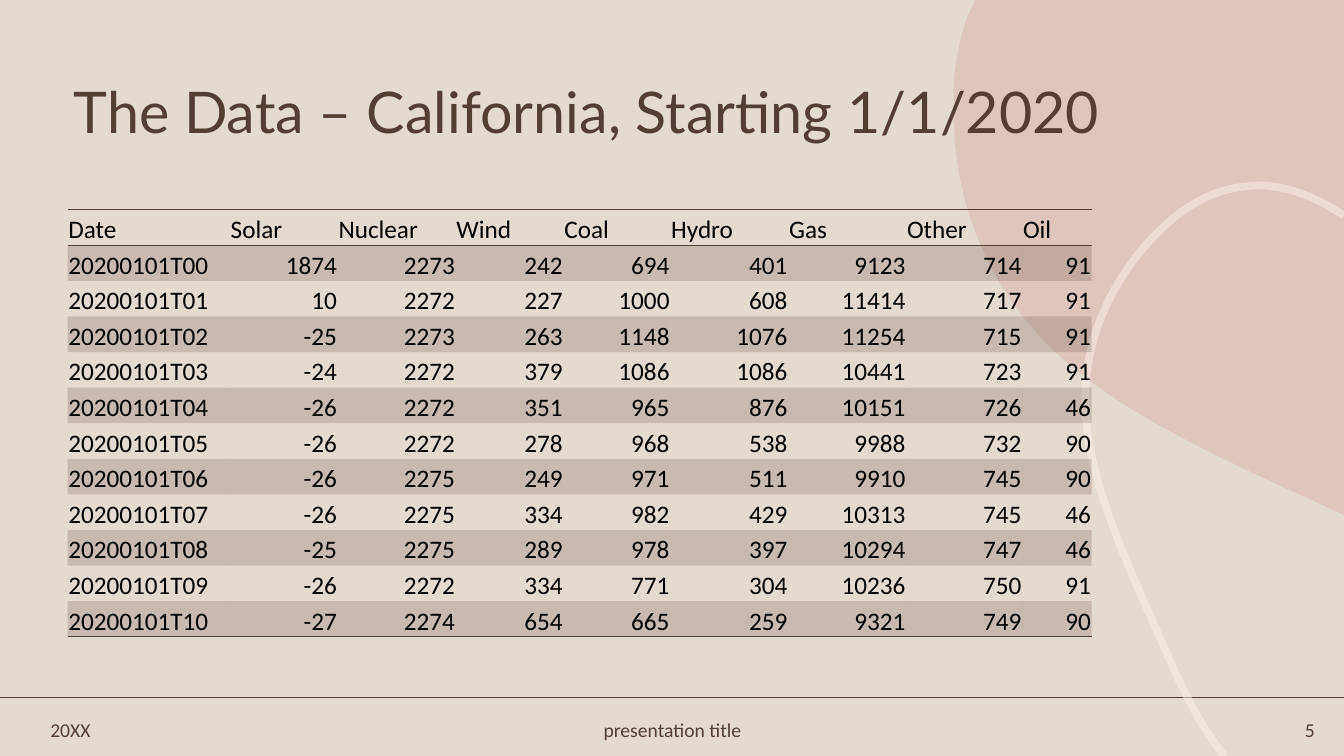
from lxml.etree import SubElement
from pptx import Presentation
from pptx.dml.color import RGBColor
from pptx.enum.shapes import MSO_CONNECTOR as Connector
from pptx.enum.text import MSO_ANCHOR as Anchor, PP_ALIGN as Align
from pptx.oxml import parse_xml
from pptx.oxml.ns import nsdecls, qn
from pptx.util import Inches, Pt

SAND = RGBColor(0xE5, 0xDA, 0xCF)
BROWN = RGBColor(0x54, 0x3E, 0x34)
ROSE = RGBColor(0xCF, 0x9B, 0x92)
CREAM = RGBColor(0xFE, 0xF3, 0xED)
BLACK = RGBColor(0, 0, 0)

# Outlines: a pair is a straight line, six numbers are a Bézier curve
BLOB = [
    (9.67, 0), (13.33, 0), (13.33, 5.11), (13.07, 4.99),
    (11.36, 4.21, 10.32, 3.69, 9.78, 2.55),
    (9.48, 1.93, 9.45, 1.35, 9.46, 1.01),
    (9.45, 0.79, 9.48, 0.49, 9.59, 0.18),
]
LOOP = [
    (12.15, 7.5),
    (11.98, 7.31, 11.79, 6.99, 11.56, 6.45),
    (10.94, 5.07, 10.58, 4.24, 10.86, 3.32),
    (11.01, 2.85, 11.27, 2.53, 11.44, 2.35),
    (11.61, 2.17, 11.92, 1.89, 12.36, 1.85),
    (12.41, 1.84, 12.47, 1.84, 12.52, 1.84),
    (12.79, 1.85, 13.08, 1.97, 13.33, 2.14),
]

HEADERS = ["Date", "Solar", "Nuclear", "Wind", "Coal", "Hydro", "Gas", "Other", "Oil"]
HOURLY_OUTPUT = [
    (1874, 2273, 242, 694, 401, 9123, 714, 91),
    (10, 2272, 227, 1000, 608, 11414, 717, 91),
    (-25, 2273, 263, 1148, 1076, 11254, 715, 91),
    (-24, 2272, 379, 1086, 1086, 10441, 723, 91),
    (-26, 2272, 351, 965, 876, 10151, 726, 46),
    (-26, 2272, 278, 968, 538, 9988, 732, 90),
    (-26, 2275, 249, 971, 511, 9910, 745, 90),
    (-26, 2275, 334, 982, 429, 10313, 745, 46),
    (-25, 2275, 289, 978, 397, 10294, 747, 46),
    (-26, 2272, 334, 771, 304, 10236, 750, 91),
    (-27, 2274, 654, 665, 259, 9321, 749, 90),
]
COLUMN_WIDTHS = [1.61, 1.07, 1.17, 1.07, 1.06, 1.17, 1.17, 1.15, 0.69]
PLAIN_TABLE_STYLE = "{2D5ABB26-0587-4C30-8999-92F81FD0307C}"


def write(frame, text, size=14, font="Calibri", color=BROWN, align=Align.LEFT,
          anchor=Anchor.MIDDLE, line_spacing=None, space_after=None):
    """Put formatted text into a text frame."""
    frame.word_wrap = True
    frame.vertical_anchor = anchor
    paragraph = frame.paragraphs[0]
    paragraph.alignment = align
    paragraph.line_spacing = line_spacing
    paragraph.space_after = space_after
    run = paragraph.add_run()
    run.text = text
    run.font.size = Pt(size)
    run.font.name = font
    run.font.color.rgb = color


def set_opacity(element, percent):
    for color in element.iter(qn("a:srgbClr")):
        SubElement(color, qn("a:alpha")).set("val", str(percent * 1000))


def bend(shape, outline):
    """Join each three line steps that stand for a curve into one Bézier."""
    steps = iter(list(shape.element.iter(qn("a:lnTo"))))
    for segment in outline[1:]:
        curve = next(steps)
        if len(segment) == 6:
            curve.tag = qn("a:cubicBezTo")
            for step in (next(steps), next(steps)):
                curve.append(step[0])
                step.getparent().remove(step)


class DataSlide:
    def __init__(self, presentation):
        self.slide = presentation.slides.add_slide(presentation.slide_layouts[5])
        self.shapes = self.slide.shapes
        self.slide.background.fill.solid()
        self.slide.background.fill.fore_color.rgb = SAND

    def rule(self, y, width):
        line = self.shapes.add_connector(
            Connector.STRAIGHT, Inches(0), Inches(y), Inches(13.33), Inches(y))
        line.line.color.rgb = BROWN
        line.line.width = Pt(width)
        SubElement(line.element.spPr, qn("a:effectLst"))

    def outline(self, outline, opacity, fill=None, line=None, width=0):
        points = [(Inches(segment[i]), Inches(segment[i + 1]))
                  for segment in outline for i in range(0, len(segment), 2)]
        builder = self.shapes.build_freeform(*points[0])
        builder.add_line_segments(points[1:], close=fill is not None)
        shape = builder.convert_to_shape()
        bend(shape, outline)
        shape.shadow.inherit = False
        if fill is None:
            shape.fill.background()
            shape.line.color.rgb = line
            shape.line.width = Pt(width)
        else:
            shape.fill.solid()
            shape.fill.fore_color.rgb = fill
            shape.line.fill.background()
        set_opacity(shape.element.spPr, opacity)

    def title(self, text):
        title = self.shapes.title
        title.left, title.top = Inches(0.63), Inches(0.77)
        title.width, title.height = Inches(11.5), Inches(0.74)
        write(title.text_frame, text, size=41, font="Lato", line_spacing=0.9)
        # Bring the title in front of the decoration
        title.element.getparent().append(title.element)

    def footer(self, text, left, width, align):
        box = self.shapes.add_textbox(Inches(left), Inches(7.07), Inches(width), Inches(0.34))
        write(box.text_frame, text, align=align, space_after=Pt(6))

    def table(self, rows, left, top, height):
        frame = self.shapes.add_table(
            len(rows), len(COLUMN_WIDTHS), Inches(left), Inches(top),
            Inches(sum(COLUMN_WIDTHS)), Inches(height))
        table = frame.table
        table.first_row = table.horz_banding = False
        next(frame.element.iter(qn("a:tableStyleId"))).text = PLAIN_TABLE_STYLE
        for column, width in zip(table.columns, COLUMN_WIDTHS):
            column.width = Inches(width)
        for row in table.rows:
            row.height = Inches(height / len(rows))
        cell_elements = frame.element.iter(qn("a:tc"))
        for index, (cell, element) in enumerate(zip(table.iter_cells(), cell_elements)):
            row, column = divmod(index, len(COLUMN_WIDTHS))
            self.cell(cell, element, rows[row][column], numeric=row > 0 and column > 0,
                      banded=row % 2 == 1, top=row == 0, bottom=row in (0, len(rows) - 1))

    def cell(self, cell, element, value, numeric, banded, top, bottom):
        cell.margin_left = cell.margin_right = cell.margin_top = Pt(0.6)
        cell.margin_bottom = 0
        cell.vertical_anchor = Anchor.BOTTOM
        write(cell.text_frame, str(value), size=18, color=BLACK, anchor=None,
              align=Align.RIGHT if numeric else Align.LEFT)
        properties = element.find(qn("a:tcPr"))
        if banded:
            cell.fill.solid()
            cell.fill.fore_color.rgb = BROWN
            set_opacity(properties, 20)
        else:
            cell.fill.background()
        # Borders come before the fill, top first
        for tag, shown in (("lnB", bottom), ("lnT", top)):
            if shown:
                properties.insert(0, parse_xml(
                    f'<a:{tag} {nsdecls("a")} w="{Pt(1)}"><a:solidFill>'
                    f'<a:srgbClr val="{BROWN}"/></a:solidFill></a:{tag}>'))


def main():
    presentation = Presentation()
    presentation.slide_width = Inches(13.33)
    presentation.slide_height = Inches(7.5)
    slide = DataSlide(presentation)

    # Background decoration
    slide.rule(6.92, 1.25)
    slide.outline(BLOB, 30, fill=ROSE)
    slide.outline(LOOP, 50, line=CREAM, width=5.5)

    # Title and footer
    slide.title("The Data – California, Starting 1/1/2020")
    slide.footer("20XX", 0.4, 1.08, Align.LEFT)
    slide.footer("presentation title", 4.79, 3.76, Align.CENTER)
    slide.footer("5", 12.06, 1.08, Align.RIGHT)

    # Hourly generation by source
    hours = [(f"20200101T{hour:02}", *output) for hour, output in enumerate(HOURLY_OUTPUT)]
    slide.table([HEADERS] + hours, 0.67, 2.08, 4.24)

    presentation.save("out.pptx")


if __name__ == "__main__":
    main()
